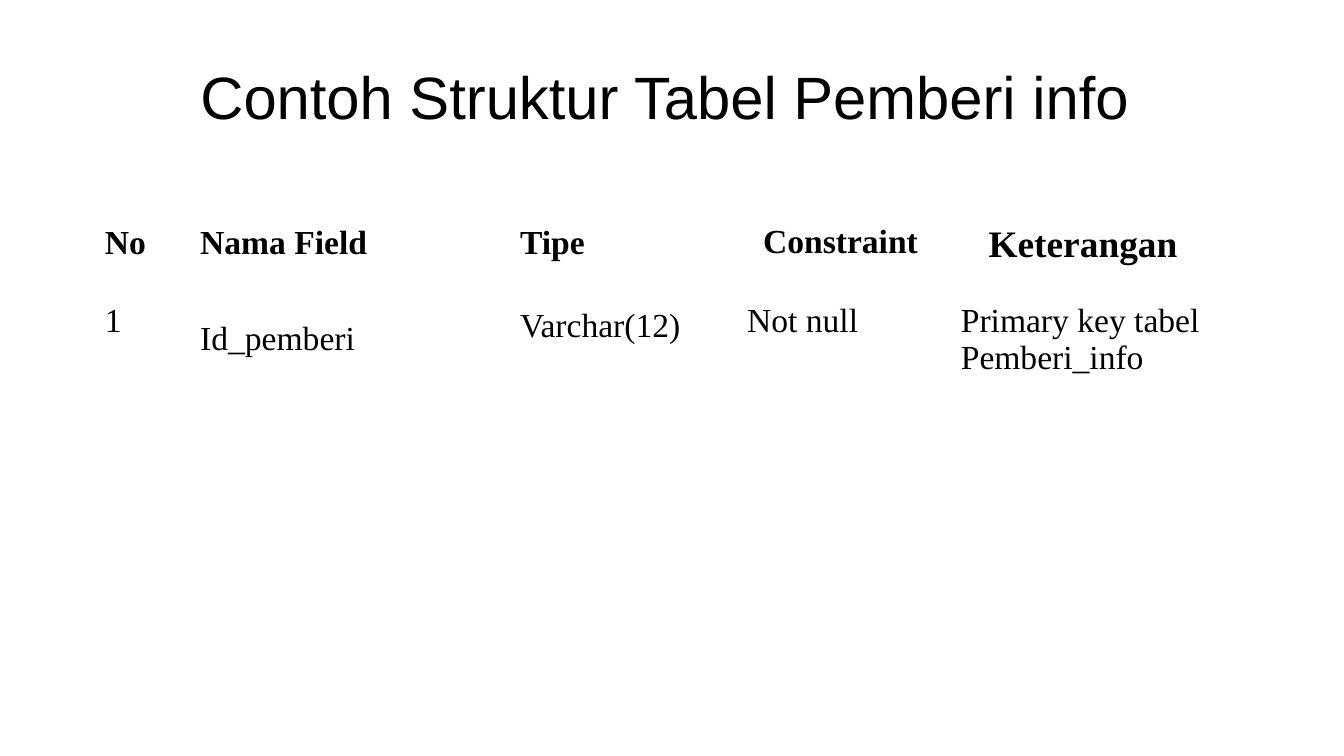
from pptx import Presentation
from pptx.dml.color import RGBColor
from pptx.enum.text import MSO_ANCHOR, PP_ALIGN
from pptx.util import Inches, Pt

LEFT, CENTER = PP_ALIGN.LEFT, PP_ALIGN.CENTER
MIDDLE = MSO_ANCHOR.MIDDLE
INK = "000000"
SANS, SERIF = "Arial", "Times New Roman"

WIDTH = 10
HEIGHT = WIDTH * 9 / 16
COLS = [0.71, 2.38, 1.69, 1.59, 2.02]
ROWS = [0.58, 0.41]
HEAD = dict(bold=True)
MID = dict(bold=True, align=CENTER, space=1.15, pad=(0.07, 0))
# Each cell holds its text and its format.
CELLS = [
    [("No", HEAD), ("Nama Field", HEAD), ("Tipe", HEAD),
     ("Constraint", MID), ("Keterangan", dict(MID, size=20))],
    [("1", {}), ("Id_pemberi", dict(space=1.5)),
     ("Varchar(12)", dict(space=1.15)), ("Not null", {}),
     ("Primary key tabel Pemberi_info", {})],
]


def color(code):
    return RGBColor.from_string(code)


def write(frame, text, size=18, face=SERIF, ink=INK, bold=False,
          align=LEFT, space=1.0):
    frame.word_wrap = True
    para = frame.paragraphs[0]
    para.alignment = align
    para.line_spacing = space
    run = para.add_run()
    run.text = text
    font = run.font
    font.size, font.name, font.bold = Pt(size), face, bold
    font.color.rgb = color(ink)


class Deck:
    def __init__(self, width, height):
        self.show = Presentation()
        self.show.slide_width = Inches(width)
        self.show.slide_height = Inches(height)
        self.slide = self.show.slides.add_slide(self.show.slide_layouts[6])

    def title(self, text, *box):
        frame = self.slide.shapes.add_textbox(*map(Inches, box)).text_frame
        frame.vertical_anchor = MIDDLE
        frame.margin_top = frame.margin_bottom = Inches(0.1)
        write(frame, text, size=32, face=SANS, align=CENTER)

    def table(self, left, top, cols, rows, cells):
        grid = self.slide.shapes.add_table(
            len(rows), len(cols), Inches(left), Inches(top),
            Inches(sum(cols)), Inches(sum(rows))).table
        grid.first_row = grid.horz_banding = False
        for col, width in zip(grid.columns, cols):
            col.width = Inches(width)
        for row, height, line in zip(grid.rows, rows, cells):
            row.height = Inches(height)
            for cell, (text, style) in zip(row.cells, line):
                self.fill(cell, text, **style)

    def fill(self, cell, text, pad=(0.1, 0.05), **style):
        """Clear the cell's fill, set its margins and write its text."""
        cell.fill.background()
        cell.margin_left = cell.margin_right = Inches(pad[0])
        cell.margin_top = cell.margin_bottom = Inches(pad[1])
        write(cell.text_frame, text, **style)


def main():
    deck = Deck(WIDTH, HEIGHT)
    deck.title("Contoh Struktur Tabel Pemberi info", 1, 0.37, 7.9, 0.68)
    deck.table(0.68, 1.62, COLS, ROWS, CELLS)
    deck.show.save("out.pptx")


if __name__ == "__main__":
    main()
